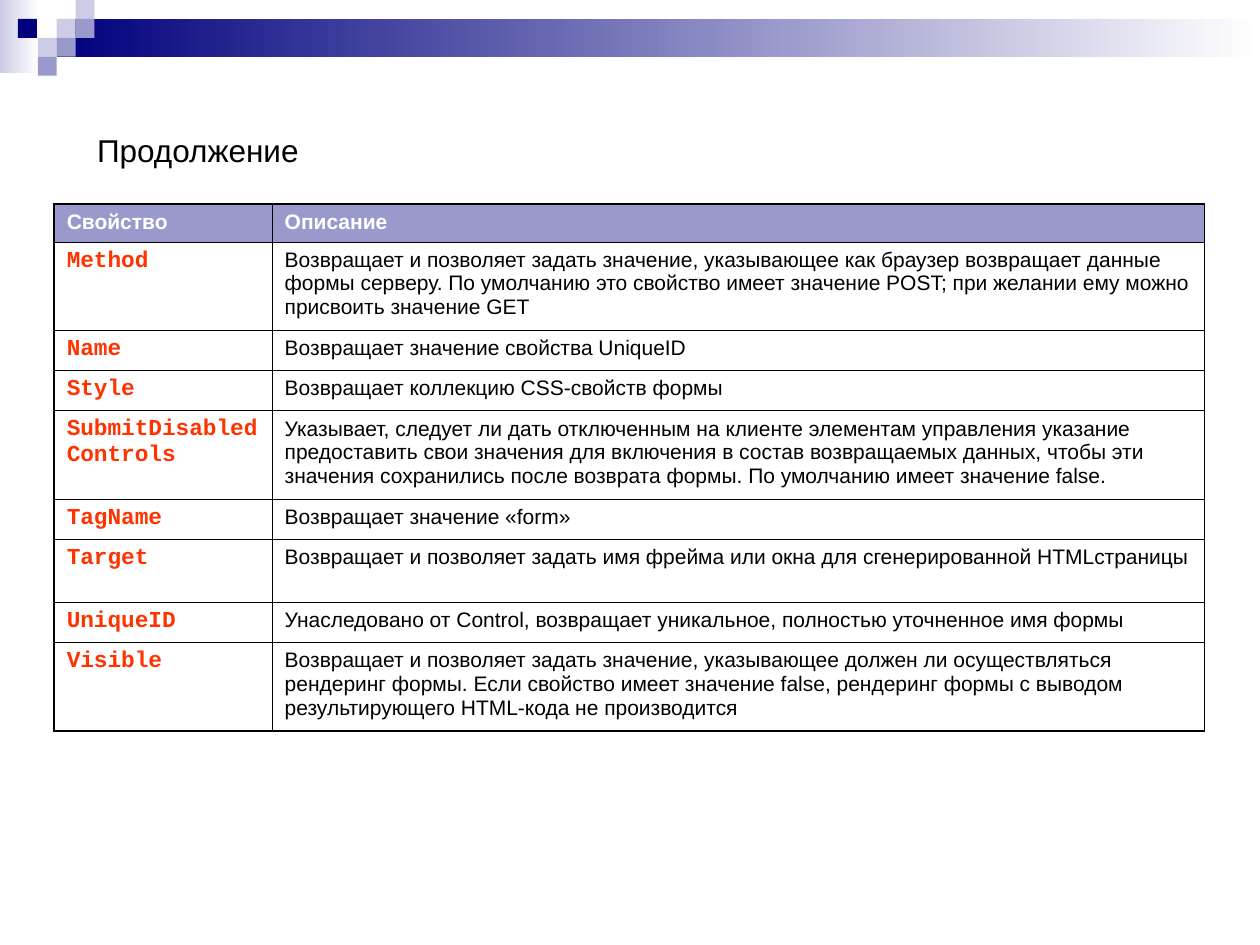
"""Build a slide with a table of web form properties under a checkered banner."""
from dataclasses import dataclass

from lxml import etree
from pptx import Presentation
from pptx import util as u
from pptx.dml.color import RGBColor
from pptx.enum import shapes, text
from pptx.oxml.ns import qn

WIDE, HIGH = 10, 7.5
UNIT = 0.15
HUES = {"navy": "00007D", "mid": "9999CC", "pale": "CCCCE6",
        "white": "FFFFFF", "black": "000000", "red": "FF3300"}
COLS = (1.73, 7.4)
THIN, THICK = 0.45, 1.08


@dataclass
class Tile:
    """A banner block in grid units, fading to white when asked."""
    col: float
    row: float
    hue: str
    wide: float = 1
    high: float = 1
    fade: bool = False


@dataclass
class Entry:
    """A table row: property name, description and height in inches."""
    name: str
    note: str
    high: float = 0.32


TILES = [
    Tile(0, 0, "pale", 2.05, 3.87, True),
    Tile(3, 1, "navy", WIDE / UNIT - 3, 2, True),
    Tile(3, 1, "pale"), Tile(4, 0, "pale"), Tile(4, 1, "mid"),
    Tile(2, 2, "pale"), Tile(0.95, 1, "navy"), Tile(3, 2, "mid"),
    Tile(2, 3, "mid"),
]
ROWS = [
    Entry("Свойство", "Описание", 0.3),
    Entry("Method", "Возвращает и позволяет задать значение, указывающее как браузер "
          "возвращает данные формы серверу. По умолчанию это свойство имеет значение "
          "POST; при желании ему можно присвоить значение GET", 0.7),
    Entry("Name", "Возвращает значение свойства UniqueID"),
    Entry("Style", "Возвращает коллекцию CSS-свойств формы"),
    Entry("SubmitDisabledControls", "Указывает, следует ли дать отключенным на клиенте "
          "элементам управления указание предоставить свои значения для включения в "
          "состав возвращаемых данных, чтобы эти значения сохранились после возврата "
          "формы. По умолчанию имеет значение false.", 0.7),
    Entry("TagName", "Возвращает значение «form»"),
    Entry("Target", "Возвращает и позволяет задать имя фрейма или окна для "
          "сгенерированной HTMLстраницы", 0.5),
    Entry("UniqueID", "Унаследовано от Control, возвращает уникальное, полностью "
          "уточненное имя формы"),
    Entry("Visible", "Возвращает и позволяет задать значение, указывающее должен ли "
          "осуществляться рендеринг формы. Если свойство имеет значение false, "
          "рендеринг формы с выводом результирующего HTML-кода не производится", 0.7),
]
HEAD = {"name": "Arial", "size": u.Pt(12), "bold": True}
NAME = {"name": "Courier New", "size": u.Pt(13), "bold": True}
NOTE = {"name": "Arial", "size": u.Pt(12), "bold": False}
TITLE = {"name": "Arial", "size": u.Pt(18), "bold": False}


def tint(hue: str) -> RGBColor:
    """Return the named colour."""
    return RGBColor.from_string(HUES[hue])


def write(frame, words: str, form: dict, hue: str) -> None:
    """Put one formatted left-aligned paragraph into a text frame."""
    para = frame.paragraphs[0]
    para.alignment = text.PP_ALIGN.LEFT
    run = para.add_run()
    run.text = words
    for key, value in form.items():
        setattr(run.font, key, value)
    run.font.color.rgb = tint(hue)


def draw_tile(slide, tile: Tile) -> None:
    """Draw one banner block."""
    box = slide.shapes.add_shape(
        shapes.MSO_SHAPE.RECTANGLE,
        *(u.Inches(n * UNIT) for n in (tile.col, tile.row, tile.wide, tile.high)))
    box.shadow.inherit = False
    box.line.fill.background()
    if tile.fade:
        box.fill.gradient()
        box.fill.gradient_angle = 0
        for stop, hue in zip(box.fill.gradient_stops, (tile.hue, "white")):
            stop.color.rgb = tint(hue)
    else:
        box.fill.solid()
        box.fill.fore_color.rgb = tint(tile.hue)


def edge(cell, sides: dict) -> None:
    """Rule the sides of a cell with the given widths in points."""
    props = cell._tc.get_or_add_tcPr()
    for side, width in sides.items():
        line = etree.SubElement(props, qn(f"a:ln{side}"), w=str(u.Pt(width)))
        fill = etree.SubElement(line, qn("a:solidFill"))
        etree.SubElement(fill, qn("a:srgbClr"), val=HUES["black"])


def draw_table(slide, rows: list[Entry]) -> None:
    """Draw the property table with a thicker outer frame."""
    spots = (0.43, 1.62, sum(COLS), sum(row.high for row in rows))
    grid = slide.shapes.add_table(len(rows), len(COLS), *map(u.Inches, spots)).table
    grid.horz_banding = False
    for col, width in zip(grid.columns, COLS):
        col.width = u.Inches(width)
    last = len(rows) - 1
    for i, row in enumerate(rows):
        grid.rows[i].height = u.Inches(row.high)
        for j, words in enumerate((row.name, row.note)):
            cell = grid.cell(i, j)
            edge(cell, {"L": THIN if j else THICK, "R": THICK if j else THIN,
                        "T": THIN if i else THICK, "B": THICK if i == last else THIN})
            if i:
                cell.fill.background()
                form, hue = (NOTE, "black") if j else (NAME, "red")
            else:
                cell.fill.solid()
                cell.fill.fore_color.rgb = tint("mid")
                form, hue = HEAD, "white"
            write(cell.text_frame, words, form, hue)
            cell.text_frame.paragraphs[0].space_before = u.Pt(form["size"].pt / 4)


def draw_title(slide, words: str) -> None:
    """Place and fill the title."""
    title = slide.shapes.title
    spots = {"left": 0.067 * WIDE, "top": 0.132 * HIGH,
             "width": 0.323 * WIDE, "height": 0.4}
    for key, value in spots.items():
        setattr(title, key, u.Inches(value))
    frame = title.text_frame
    looks = {"vertical_anchor": text.MSO_ANCHOR.TOP, "word_wrap": True,
             "auto_size": text.MSO_AUTO_SIZE.SHAPE_TO_FIT_TEXT}
    for key, value in looks.items():
        setattr(frame, key, value)
    write(frame, words, TITLE, "black")


def main() -> None:
    """Build and save the slide."""
    deck = Presentation()
    deck.slide_width, deck.slide_height = u.Inches(WIDE), u.Inches(HIGH)
    slide = deck.slides.add_slide(deck.slide_layouts[5])
    for tile in TILES:
        draw_tile(slide, tile)
    draw_table(slide, ROWS)
    draw_title(slide, "Продолжение")
    deck.save("out.pptx")


if __name__ == "__main__":
    main()
